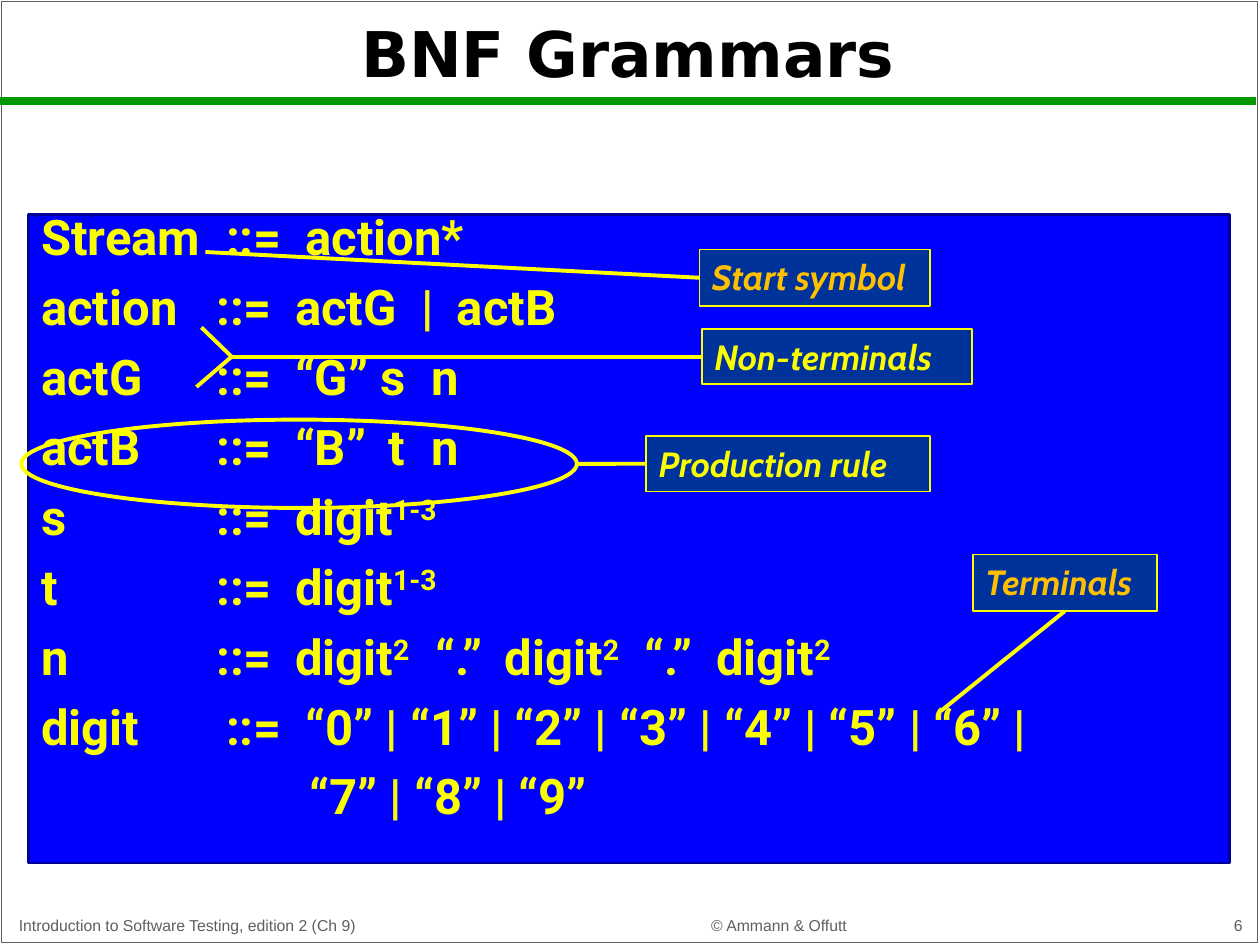
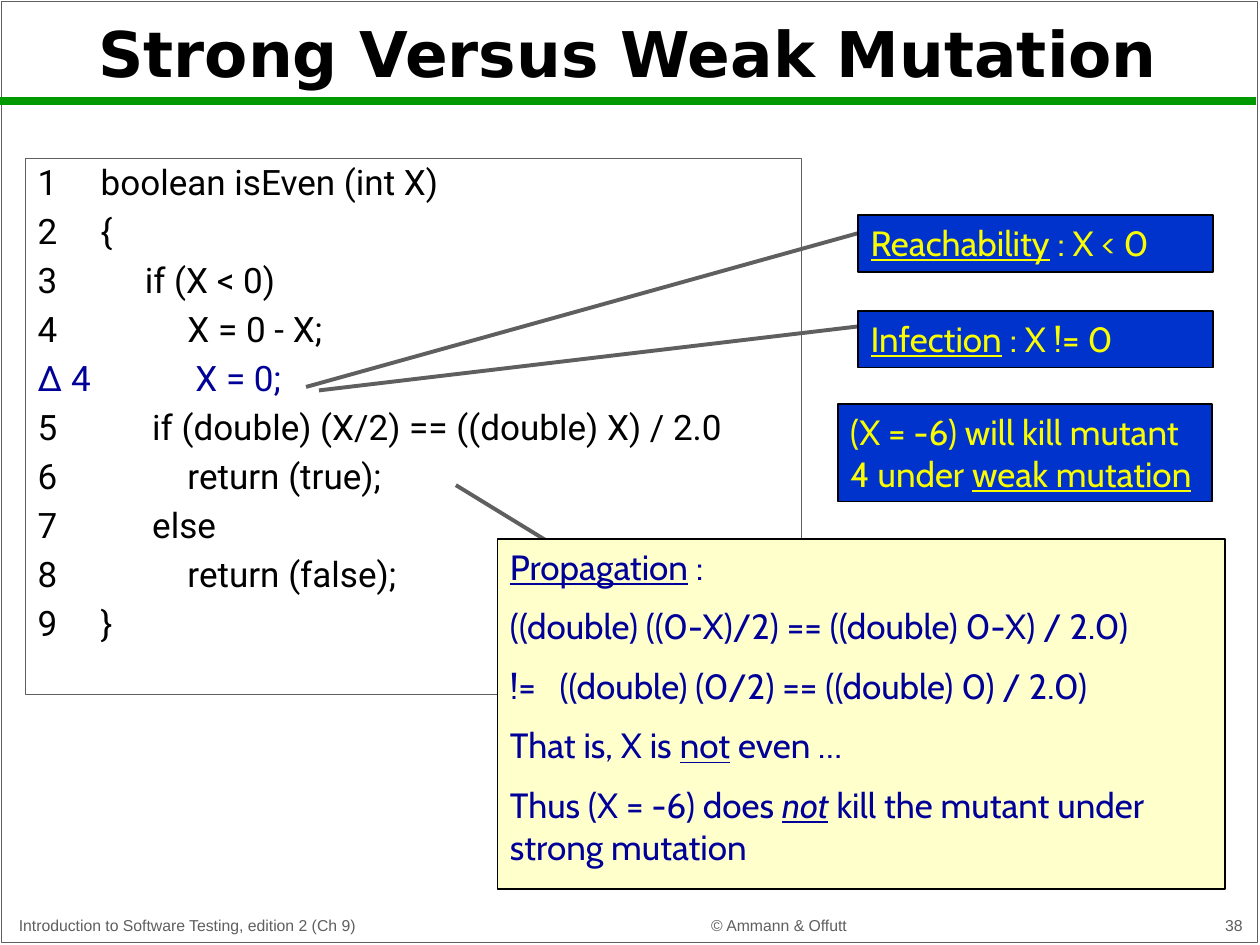
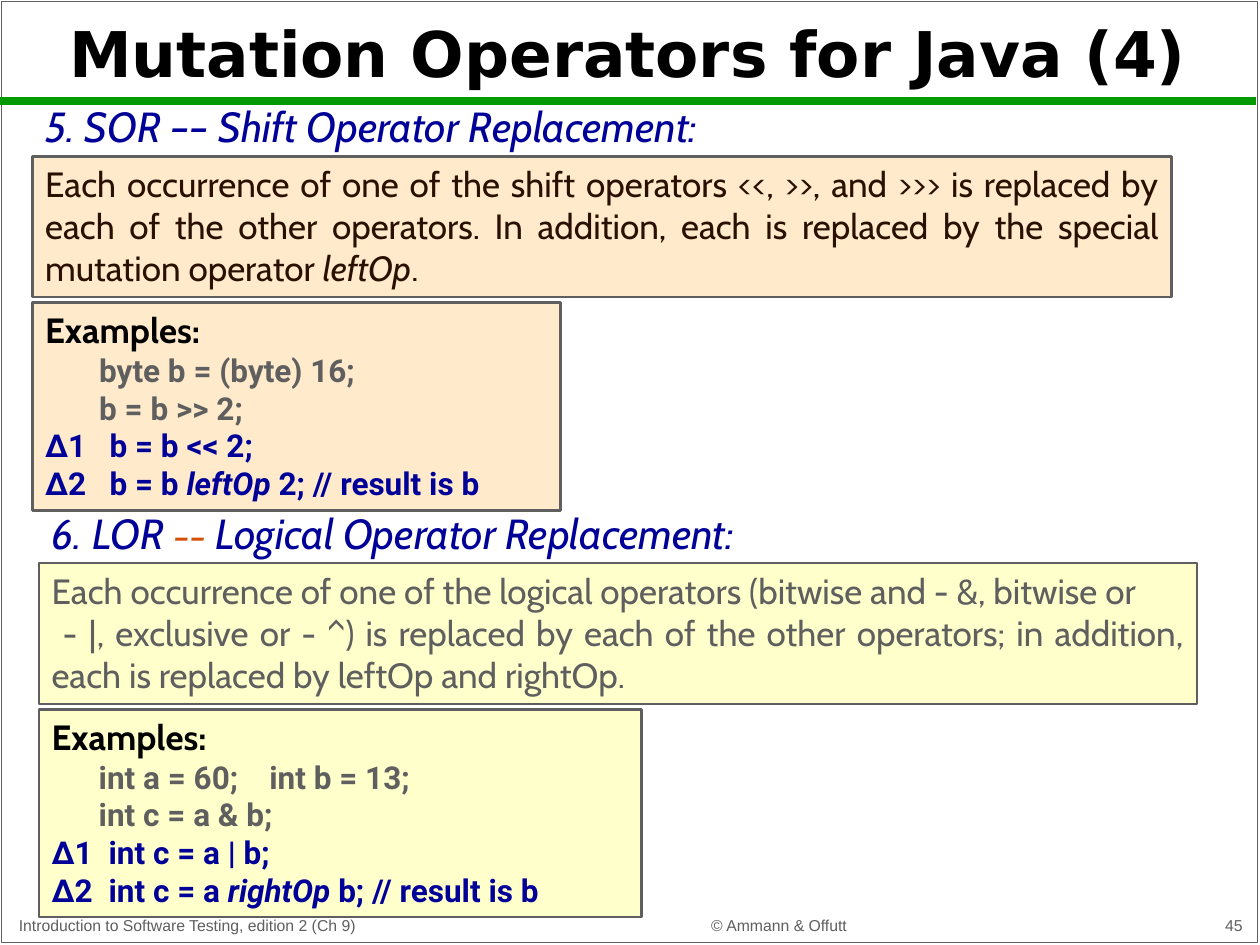
from lxml.etree import SubElement
from pptx import Presentation
from pptx.dml.color import RGBColor
from pptx.enum.shapes import MSO_CONNECTOR, MSO_SHAPE
from pptx.enum.text import MSO_ANCHOR, PP_ALIGN
from pptx.oxml.ns import qn
from pptx.util import Cm, Pt

# Shared look
BLACK, GREY, NAVY = "000000", "5F5F5F", "000099"
GREEN, YELLOW, BRIGHT, AMBER = "009900", "FAFD00", "FFFF00", "FFC000"
BLUE, LABEL_BLUE, NOTE_BLUE = "0000FF", "003399", "0033CC"
PEACH, CREAM, ORANGE, BROWN = "FFEBCC", "FFFFCC", "D45000", "2A1000"

TITLE = {"name": "DejaVu Sans", "size": Pt(36), "bold": True, "color": BLACK}
FOOTER = {"name": "Arial", "size": Pt(9), "color": GREY}
CABIN = {"name": "Cabin", "size": Pt(20)}
CODE = {"name": "Roboto", "size": Pt(20), "color": BLACK}
GRAMMAR = {"name": "Roboto", "size": Pt(28), "bold": True, "color": YELLOW}
LABEL = {**CABIN, "bold": True, "italic": True}
NOTE = {**CABIN, "color": YELLOW}
HEADING = {"name": "Cabin", "size": Pt(24), "italic": True, "color": NAVY}
EXAMPLE = {"name": "Roboto", "size": Pt(18), "bold": True, "color": GREY}

UNDER = {"underline": True}
ITALIC = {"italic": True}
CHANGED = {"color": NAVY}
RAISED = {"baseline": "30000"}


def rgb(value):
    return RGBColor.from_string(value)


def line(*spans, stops=()):
    """A paragraph: plain strings or (text, format) pairs, with tab stops in cm."""
    return spans, stops


def inside(box, left, top, width, height):
    return box[0] + left, box[1] + top, width, height


def at(box, x, y):
    return box[0] + x, box[1] + y


# Text
def add_span(para, text, style):
    span = para.add_run()
    span.text = text
    for key, value in style.items():
        if key == "color":
            span.font.color.rgb = rgb(value)
        elif key == "baseline":
            span._r.get_or_add_rPr().set(key, value)
        else:
            setattr(span.font, key, value)


def write(shape, lines, style, anchor=MSO_ANCHOR.TOP, **para_format):
    frame = shape.text_frame
    frame.word_wrap = True
    frame.vertical_anchor = anchor
    para_format = {"alignment": PP_ALIGN.LEFT, **para_format}
    for index, (spans, stops) in enumerate(lines):
        para = frame.add_paragraph() if index else frame.paragraphs[0]
        for key, value in para_format.items():
            setattr(para, key, value)
        if stops:
            tabs = SubElement(para._p.get_or_add_pPr(), qn("a:tabLst"))
            for stop in stops:
                SubElement(tabs, qn("a:tab"), pos=str(Cm(stop)), algn="l")
        for span in spans:
            text, change = (span, {}) if isinstance(span, str) else span
            add_span(para, text, {**style, **change})


def add_text(page, box, lines, style, **options):
    shape = page.shapes.add_textbox(*map(Cm, box))
    write(shape, lines, style, **options)
    return shape


# Shapes and lines
def add_box(page, box, fill, color, weight, kind=MSO_SHAPE.RECTANGLE):
    shape = page.shapes.add_shape(kind, *map(Cm, box))
    shape.shadow.inherit = False
    if fill:
        shape.fill.solid()
        shape.fill.fore_color.rgb = rgb(fill)
    else:
        shape.fill.background()
    shape.line.color.rgb = rgb(color)
    shape.line.width = Pt(weight)
    return shape


def add_line(page, start, end, color, weight=2.25, target=None, side=1):
    """A straight line; with a target it ends at the middle of that side."""
    link = page.shapes.add_connector(MSO_CONNECTOR.STRAIGHT, *map(Cm, start + end))
    link.line.color.rgb = rgb(color)
    link.line.width = Pt(weight)
    SubElement(link._element.spPr, qn("a:effectLst"))
    if target is not None:
        link.end_connect(target, side)
    return link


# Page frame, title, band and footer
def add_page(deck, title, number):
    page = deck.slides.add_slide(deck.slide_layouts[6])
    add_box(page, (0.03, 0.03, 25.32, 18.97), None, GREY, 1)
    add_line(page, (0, 2.03), (25.32, 2.03), GREEN, 4.5)
    footers = [
        (0.13, 11.05, "Introduction to Software Testing, edition 2 (Ch 9)", PP_ALIGN.LEFT),
        (11.68, 8.05, "© Ammann & Offutt", PP_ALIGN.CENTER),
        (20.02, 5.28, str(number), PP_ALIGN.RIGHT),
    ]
    for left, width, text, alignment in footers:
        add_text(page, (left, 18.24, width, 0.72), [line(text)], FOOTER,
                 anchor=MSO_ANCHOR.BOTTOM, alignment=alignment)
    add_text(page, (0.03, 0.28, 25.25, 1.75), [line(title)], TITLE,
             anchor=MSO_ANCHOR.MIDDLE, alignment=PP_ALIGN.CENTER, line_spacing=0.9)
    return page


# Grammar panel with its labels
def add_grammar(page, box):
    wide, narrow = (3.73, 5.33), (3.53, 5.12)
    rules = [
        line("Stream\t::=\taction*", stops=wide),
        line("action\t::=\tactG\t|\tactB", stops=narrow + (7.67, 8.38)),
        line("actG\t::=\t“G” s\tn", stops=narrow + (7.87,)),
        line("actB\t::=\t“B”\tt\tn", stops=narrow + (7.01, 7.87)),
        *(line(f"{name}\t::=\tdigit", ("1-3", RAISED), stops=narrow) for name in "st"),
        line("n\t::=\tdigit", ("2", RAISED), "\t“.”\tdigit", ("2", RAISED),
             "\t“.”\tdigit", ("2", RAISED), stops=narrow + (7.95, 9.35, 12.17, 13.61)),
        line("digit\t::=\t“0” | “1” | “2” | “3” | “4” | “5” | “6” |", stops=wide),
        line("\t“7” | “8” | “9”", stops=(5.41,)),
    ]
    panel = add_box(page, box, BLUE, NAVY, 1.5)
    write(panel, rules, GRAMMAR, line_spacing=0.75, space_before=Pt(14.7))

    # Label, its place, text colour, start of its pointer, side joined
    fork = (4.09, 2.87)
    labels = [
        ("Non-terminals", (13.57, 2.31, 5.44, 1.12), YELLOW, fork, 1),
        ("Terminals", (19.03, 6.86, 3.71, 1.14), AMBER, (18.39, 10.01), 2),
        ("Production rule", (12.45, 4.47, 5.72, 1.12), YELLOW, (11.03, 5.03), 1),
        ("Start symbol", (13.52, 0.71, 4.65, 1.14), AMBER, (3.56, 0.76), 1),
    ]
    for text, place, color, start, side in labels:
        label = add_box(page, inside(box, *place), LABEL_BLUE, BRIGHT, 1)
        write(label, [line(text)], {**LABEL, "color": color})
        start = at(box, *start)
        add_line(page, start, start, BRIGHT, target=label, side=side)
    for tip in [(3.48, 2.28), (3.38, 3.48)]:
        add_line(page, at(box, *fork), at(box, *tip), BRIGHT)
    add_box(page, inside(box, -0.15, 4.14, 11.2, 1.78), None, BRIGHT, 2.25, MSO_SHAPE.OVAL)


# Program listing with notes on the mutant
def add_mutant(page, box):
    listing = [
        ("1", 1.27, "boolean isEven (int X)"),
        ("2", 1.27, "{"),
        ("3", 2.16, "if (X < 0)"),
        ("4", 3.02, "X = 0 - X;"),
        ("∆ 4", 3.18, "X = 0;"),
        ("5", 2.31, "if (double) (X/2) == ((double) X) / 2.0"),
        ("6", 3.02, "return (true);"),
        ("7", 2.31, "else"),
        ("8", 3.02, "return (false);"),
        ("9", 1.27, "}"),
    ]
    code = add_box(page, inside(box, 0, 0, 15.65, 10.8), "FFFFFF", GREY, 0.75)
    write(code, [line((f"{label}\t{text}", CHANGED if "∆" in label else {}), stops=(indent,))
                 for label, indent, text in listing],
          CODE, line_spacing=0.9, space_before=Pt(6.4))

    # Pointers from the code to the notes
    pointers = [
        ((5.66, 4.6), (16.79, 1.5)),
        ((5.92, 4.67), (16.79, 3.38)),
        ((8.68, 6.58), (12.37, 8.84)),
    ]
    for start, end in pointers:
        add_line(page, at(box, *start), at(box, *end), GREY)

    # Notes
    notes = [
        ((16.79, 1.14, 7.16, 1.14), [("Reachability", UNDER), " : X < 0"]),
        ((16.79, 3.07, 7.16, 1.14), [("Infection", UNDER), " : X != 0"]),
        ((16.38, 4.95, 7.54, 1.96),
         ["(X = -6) will kill mutant 4 under ", ("weak mutation", UNDER)]),
    ]
    for place, spans in notes:
        note = add_box(page, inside(box, *place), NOTE_BLUE, BLACK, 1)
        write(note, [line(*spans)], NOTE)
    propagation = add_box(page, inside(box, 9.52, 7.67, 14.66, 7.06), CREAM, BLACK, 1)
    write(propagation, [
        line(("Propagation", UNDER), " :"),
        line("((double) ((0-X)/2) == ((double) 0-X) / 2.0)"),
        line("!=\t((double) (0/2) == ((double) 0) / 2.0)", stops=(1.0,)),
        line("That is, X is ", ("not", UNDER), " even …"),
        line("Thus (X = -6) does ", ("not", {**ITALIC, **UNDER}),
             " kill the mutant under strong mutation"),
    ], {**CABIN, "color": NAVY}, space_before=Pt(10))


# One mutation operator: heading, rule and examples
def add_operator(page, box, fill, color, heading, rule, examples, examples_width):
    left, top, width, height = box
    add_text(page, (left, top, width, 1.3), [heading], HEADING)
    rule_box = add_box(page, inside(box, 0, 1.24, width, 2.84), fill, GREY, 1.5)
    write(rule_box, rule, {**CABIN, "color": color}, alignment=PP_ALIGN.JUSTIFY)
    example_box = add_box(page, inside(box, 0, 4.19, examples_width, height - 4.19),
                          fill, GREY, 1.5)
    title = line(("Examples:", {**CABIN, "color": BLACK}))
    write(example_box, [title, *examples], EXAMPLE)


def main():
    deck = Presentation()
    deck.slide_width, deck.slide_height = Cm(25.4), Cm(19.05)

    add_grammar(add_page(deck, "BNF Grammars", 6), (0.58, 4.32, 24.21, 13.08))

    add_mutant(add_page(deck, "Strong Versus Weak Mutation", 38), (0.51, 3.2, 24.18, 14.73))

    page = add_page(deck, "Mutation Operators for Java (4)", 45)
    add_operator(
        page, (0.66, 1.91, 22.96, 8.38), PEACH, BROWN,
        line("5. SOR –– Shift Operator Replacement:"),
        [line("Each occurrence of one of the shift operators <<, >>, and >>> is replaced by "
              "each of the other operators. In addition, each is replaced by the special "
              "mutation operator ", ("leftOp", ITALIC), ".")],
        [line("\tbyte b = (byte) 16;", stops=(1.09,)),
         line("\tb = b >> 2;", stops=(1.09,)),
         line(("∆1\tb = b << 2;", CHANGED), stops=(1.3,)),
         line(("∆2\tb = b ", CHANGED), ("leftOp", {**CHANGED, **ITALIC}),
              (" 2; // result is b", CHANGED), stops=(1.3,))],
        10.64)
    add_operator(
        page, (0.79, 10.11, 23.34, 8.38), CREAM, GREY,
        line("6. LOR ", ("––", {"size": Pt(20), "color": ORANGE}),
             " Logical Operator Replacement:"),
        [line("Each occurrence of one of the logical operators (bitwise and - &, bitwise or"),
         line(" - |, exclusive or - ^) is replaced by each of the other operators; in "
              "addition, each is replaced by leftOp and rightOp.")],
        [line("\tint a = 60;\tint b = 13;", stops=(0.95, 4.39)),
         line("\tint c = a & b;", stops=(0.95,)),
         line(("∆1\tint c = a | b;", CHANGED), stops=(1.15,)),
         line(("∆2\tint c = a ", CHANGED), ("rightOp", {**CHANGED, **ITALIC}),
              (" b; // result is b", CHANGED), stops=(1.15,))],
        12.14)

    deck.save("out.pptx")


if __name__ == "__main__":
    main()
